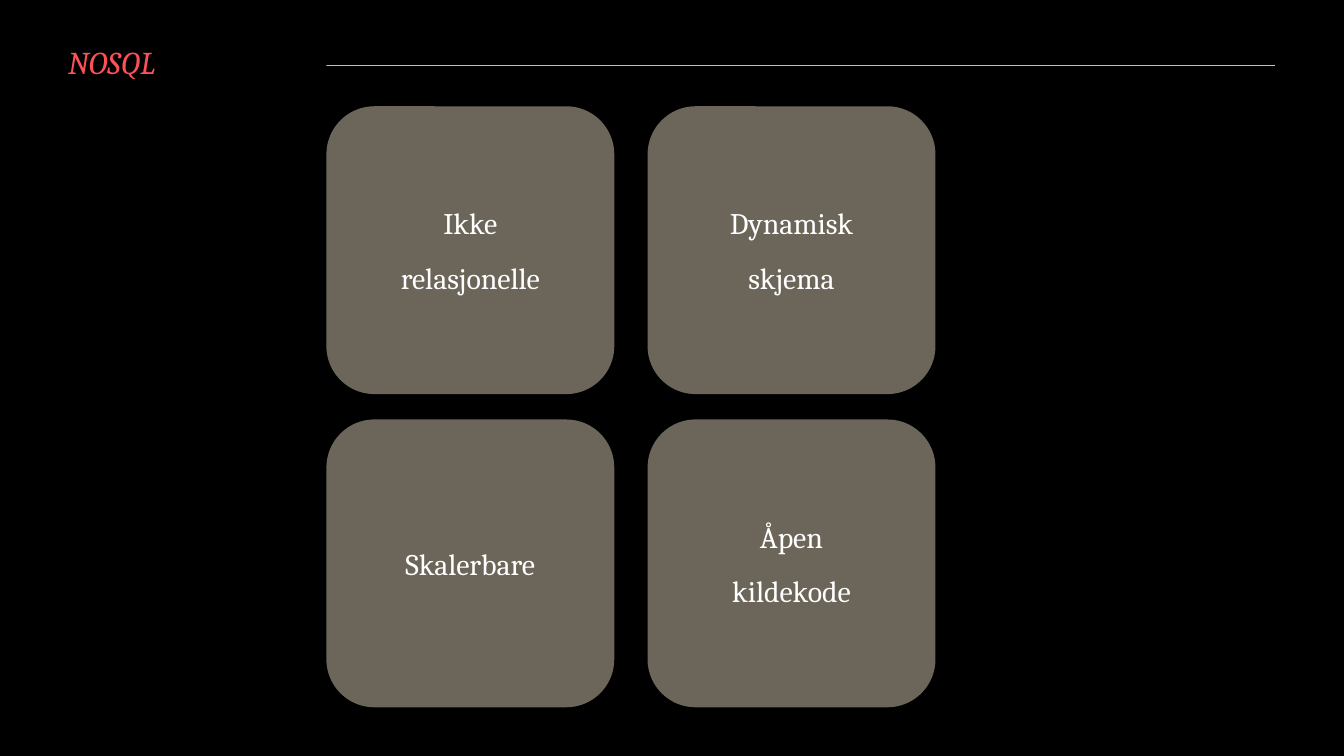
from pptx import Presentation
from pptx.dml.color import RGBColor
from pptx.enum.shapes import MSO_CONNECTOR, MSO_SHAPE
from pptx.enum.text import MSO_ANCHOR, PP_ALIGN
from pptx.oxml.ns import qn
from pptx.util import Cm, Pt
from lxml import etree

STRAIGHT = MSO_CONNECTOR.STRAIGHT
ROUNDED = MSO_SHAPE.ROUNDED_RECTANGLE
MIDDLE, TOP = MSO_ANCHOR.MIDDLE, MSO_ANCHOR.TOP
CENTER = PP_ALIGN.CENTER

TITLE = "NOSQL"
TRAITS = [
    [["Ikke", "relasjonelle"], ["Dynamisk", "skjema"]],
    [["Skalerbare"], ["Åpen", "kildekode"]],
]
COLORS = {"back": "000000", "rule": "C9C0B5", "title": "FD5158",
          "card": "6C6559", "text": "FFFFFF"}
FONT = "Cambria"
LEFT, GRID_TOP, SIDE = 6.17, 2.01, 5.44
GAP_X, GAP_Y = 0.63, 0.48


def color(name):
    return RGBColor.from_string(COLORS[name])


def style(p, size, name):
    p.font.name = FONT
    p.font.size = Pt(size)
    p.font.color.rgb = color(name)


def add_rule(s):
    rule = s.shapes.add_connector(STRAIGHT, Cm(1.35), Cm(1.24), Cm(24.1), Cm(1.24))
    rule.line.color.rgb = color("rule")
    rule.line.width = Pt(0.2)
    etree.SubElement(rule._element.spPr, qn("a:effectLst"))


def add_title(s):
    sp = s.shapes.add_textbox(Cm(1.04), Cm(0.81), Cm(5.13), Cm(0.74))
    sp.fill.solid()
    sp.fill.fore_color.rgb = color("back")
    tf = sp.text_frame
    tf.word_wrap = True
    tf.vertical_anchor = TOP
    tf.margin_top = tf.margin_bottom = 0
    tf.text = TITLE
    p = tf.paragraphs[0]
    style(p, 17, "title")
    p.font.italic = True


def add_card(s, row, col, lines):
    x = LEFT + col * (SIDE + GAP_X)
    y = GRID_TOP + row * (SIDE + GAP_Y)
    sp = s.shapes.add_shape(ROUNDED, Cm(x), Cm(y), Cm(SIDE), Cm(SIDE))
    sp.shadow.inherit = False
    sp.fill.solid()
    sp.fill.fore_color.rgb = color("card")
    sp.line.fill.background()
    tf = sp.text_frame
    tf.word_wrap = True
    tf.vertical_anchor = MIDDLE
    tf.text = "\n".join(lines)
    for i, p in enumerate(tf.paragraphs):
        p.alignment = CENTER
        p.space_before = Pt(10 if i else 0)
        style(p, 16, "text")


prs = Presentation()
prs.slide_width, prs.slide_height = Cm(25.4), Cm(14.29)
s = prs.slides.add_slide(prs.slide_layouts[6])
s.background.fill.solid()
s.background.fill.fore_color.rgb = color("back")
add_rule(s)
add_title(s)
for row, cards in enumerate(TRAITS):
    for col, lines in enumerate(cards):
        add_card(s, row, col, lines)
prs.save("out.pptx")
